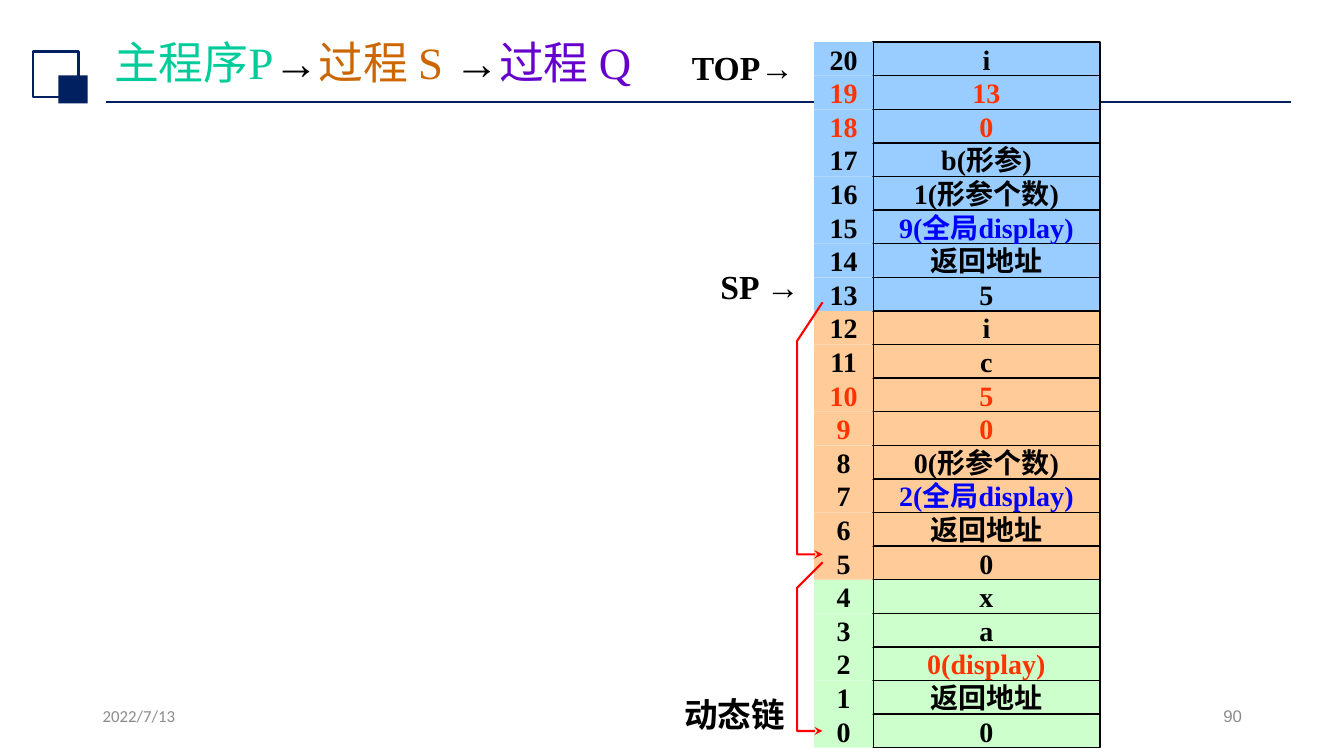
"""Build a slide of a run-time stack with its dynamic chain."""
from dataclasses import dataclass

from lxml import etree
from pptx import Presentation
from pptx.dml.color import RGBColor
from pptx.enum.shapes import MSO_CONNECTOR, MSO_SHAPE
from pptx.enum.text import MSO_ANCHOR, MSO_AUTO_SIZE, PP_ALIGN
from pptx.oxml.ns import qn
from pptx.util import Cm, Pt

RECT = MSO_SHAPE.RECTANGLE
STRAIGHT = MSO_CONNECTOR.STRAIGHT
LEFT, MID, RIGHT = PP_ALIGN.LEFT, PP_ALIGN.CENTER, PP_ALIGN.RIGHT
TOP, MIDDLE = MSO_ANCHOR.TOP, MSO_ANCHOR.MIDDLE
NO_FIT = MSO_AUTO_SIZE.NONE


@dataclass(frozen=True)
class Theme:
    """Colours, fonts and type sizes."""
    black: str = "000000"
    red: str = "FF3300"
    blue: str = "0000FF"
    navy: str = "002060"
    gray: str = "8C8C8C"
    chain: str = "FF0000"
    main: str = "00CC99"
    proc_s: str = "CC6600"
    proc_q: str = "6600CC"
    green: str = "CCFFCC"
    peach: str = "FFCC99"
    sky: str = "99CCFF"
    serif: str = "Times New Roman"
    sans: str = "Calibri"
    plain: str = "Arial"
    head: int = 32
    label: int = 24
    cell: int = 20
    foot: int = 12


T = Theme()

TITLE = [
    ("主程序P", T.main), ("→", T.black), ("过程 S ", T.proc_s),
    ("→", T.black), ("过程 Q", T.proc_q),
]
FRAMES = [
    (T.green, [
        ("0", T.black, T.black), ("返回地址", T.black, T.black),
        ("0(display)", T.red, T.black), ("a", T.black, T.black),
        ("x", T.black, T.black),
    ]),
    (T.peach, [
        ("0", T.black, T.black), ("返回地址", T.black, T.black),
        ("2(全局display)", T.blue, T.black), ("0(形参个数)", T.black, T.black),
        ("0", T.red, T.red), ("5", T.red, T.red),
        ("c", T.black, T.black), ("i", T.black, T.black),
    ]),
    (T.sky, [
        ("5", T.black, T.black), ("返回地址", T.black, T.black),
        ("9(全局display)", T.blue, T.black), ("1(形参个数)", T.black, T.black),
        ("b(形参)", T.black, T.black), ("0", T.red, T.red),
        ("13", T.red, T.red), ("i", T.black, T.black),
    ]),
]
LABELS = [("动态链", 16.71, 17.58), ("TOP→", 16.92, 1.27), ("SP →", 17.35, 6.78)]
CHAINS = [(14.17, 14.81, 18.42), (7.62, 8.59, 13.97)]
FOOT = [("2022/7/13", 2.34, LEFT, T.sans), ("90", 23.93, RIGHT, T.plain)]

STACK_TOP, STACK_HIGH = 1.06, 17.78
ADDR_X, ADDR_W = 20.52, 1.48
CELL_X, CELL_W = ADDR_X + ADDR_W, 5.72
CHAIN_X, CHAIN_W = 20.09, 0.64


def rgb(tone):
    """Turn a hex code into a colour."""
    return RGBColor.from_string(tone)


def write(shape, runs, size, font=T.serif, bold=False, align=MID,
          anchor=MIDDLE, wrap=False):
    """Fill a shape with one paragraph of coloured runs."""
    frame = shape.text_frame
    frame.auto_size = NO_FIT
    frame.word_wrap = wrap
    frame.vertical_anchor = anchor
    para = frame.paragraphs[0]
    para.alignment = align
    for text, tone in runs:
        run = para.add_run()
        run.text = text
        run.font.name = font
        run.font.size = Pt(size)
        run.font.bold = bold
        run.font.color.rgb = rgb(tone)
    return para


def box(slide, x, y, wide, high, fill=None, line=None, width=1):
    """Add a flat rectangle."""
    shape = slide.shapes.add_shape(RECT, Cm(x), Cm(y), Cm(wide), Cm(high))
    shape.shadow.inherit = False
    if fill:
        shape.fill.solid()
        shape.fill.fore_color.rgb = rgb(fill)
    else:
        shape.fill.background()
    if line:
        shape.line.color.rgb = rgb(line)
        shape.line.width = Pt(width)
    else:
        shape.line.fill.background()
    return shape


def note(slide, x, y, wide, high):
    """Add an empty text box."""
    return slide.shapes.add_textbox(Cm(x), Cm(y), Cm(wide), Cm(high))


def header(slide):
    """Draw the emblem, the rule and the title."""
    rule = slide.shapes.add_connector(
        STRAIGHT, Cm(2.67), Cm(2.57), Cm(32.54), Cm(2.57))
    rule.line.color.rgb = rgb(T.navy)
    rule.line.width = Pt(1.25)
    etree.SubElement(rule.element.spPr, qn("a:effectLst"))
    box(slide, 0.84, 1.3, 1.14, 1.14, line=T.navy, width=1.5)
    box(slide, 1.47, 1.9, 0.74, 0.71, fill=T.navy)
    title = slide.shapes.title
    title.left, title.top = Cm(2.62), Cm(0.86)
    title.width, title.height = Cm(29.21), Cm(1.55)
    para = write(title, TITLE, T.head, align=LEFT, wrap=True)
    para.line_spacing = 0.9


def stack(slide):
    """Draw the stack cells upward from address 0."""
    rows = [(fill, *row) for fill, part in FRAMES for row in part]
    pitch = STACK_HIGH / len(rows)
    for addr, (fill, text, tone, mark) in enumerate(rows):
        y = STACK_TOP + STACK_HIGH - (addr + 1) * pitch
        cell = box(slide, CELL_X, y, CELL_W, pitch, fill, T.black)
        index = box(slide, ADDR_X, y, ADDR_W, pitch, fill)
        for shape, run in ((cell, (text, tone)), (index, (str(addr), mark))):
            shape.text_frame.margin_top = shape.text_frame.margin_bottom = 0
            write(shape, [run], T.cell, bold=True)


def chain(slide, start, bend, end):
    """Draw one bent arrow of the dynamic chain."""
    right = CHAIN_X + CHAIN_W
    pen = slide.shapes.build_freeform(Cm(right), Cm(start))
    spots = [(CHAIN_X, bend), (CHAIN_X, end), (right, end)]
    pen.add_line_segments([(Cm(x), Cm(y)) for x, y in spots], close=False)
    shape = pen.convert_to_shape()
    shape.shadow.inherit = False
    shape.fill.background()
    shape.line.color.rgb = rgb(T.chain)
    shape.line.width = Pt(1.5)
    line = shape.element.spPr.find(qn("a:ln"))
    etree.SubElement(line, qn("a:tailEnd"), type="stealth")


def main():
    """Compose and save the slide."""
    deck = Presentation()
    deck.slide_width, deck.slide_height = Cm(33.87), Cm(19.05)
    slide = deck.slides.add_slide(deck.slide_layouts.get_by_name("Title Only"))
    header(slide)
    for text, x, align, font in FOOT:
        write(note(slide, x, 17.65, 7.62, 1.02), [(text, T.gray)], T.foot,
              font, align=align, anchor=TOP, wrap=True)
    stack(slide)
    for text, x, y in LABELS:
        write(note(slide, x, y, 3.61, 0.84), [(text, T.black)], T.label,
              bold=True)
    for turns in CHAINS:
        chain(slide, *turns)
    deck.save("out.pptx")


if __name__ == "__main__":
    main()
